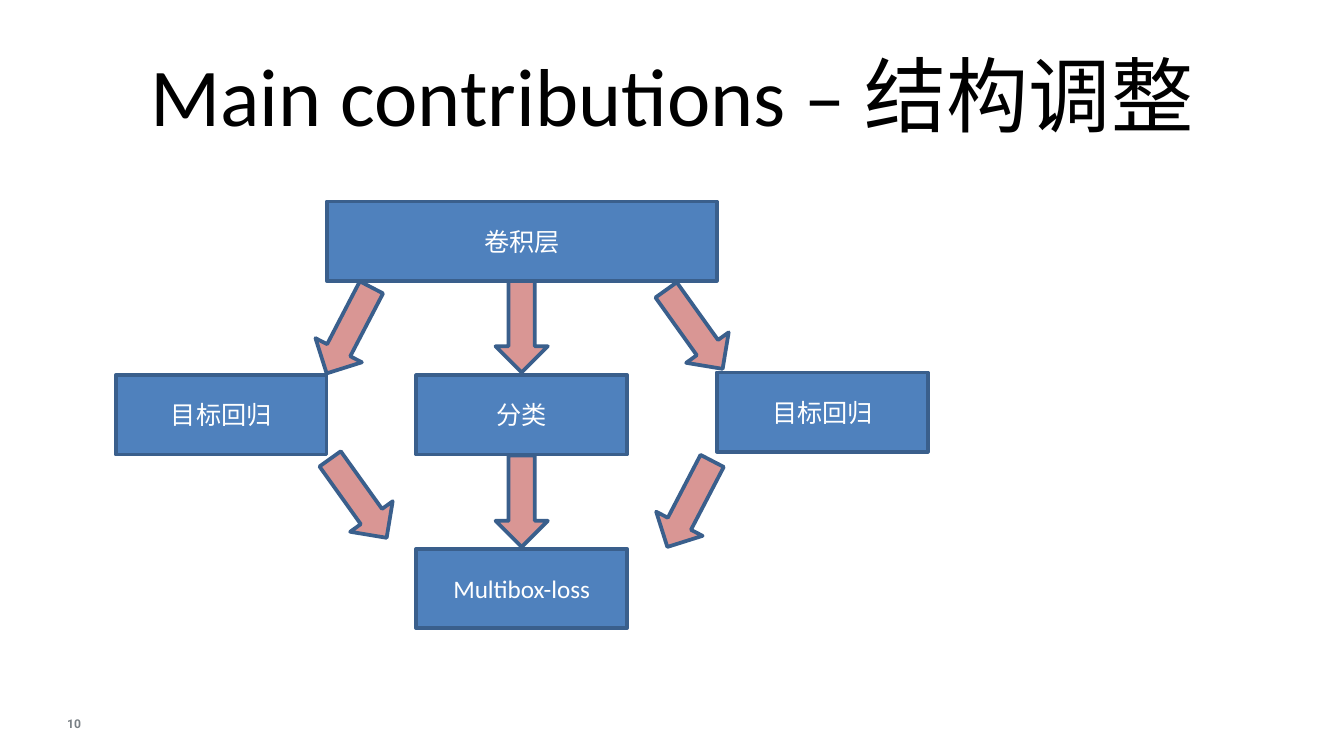
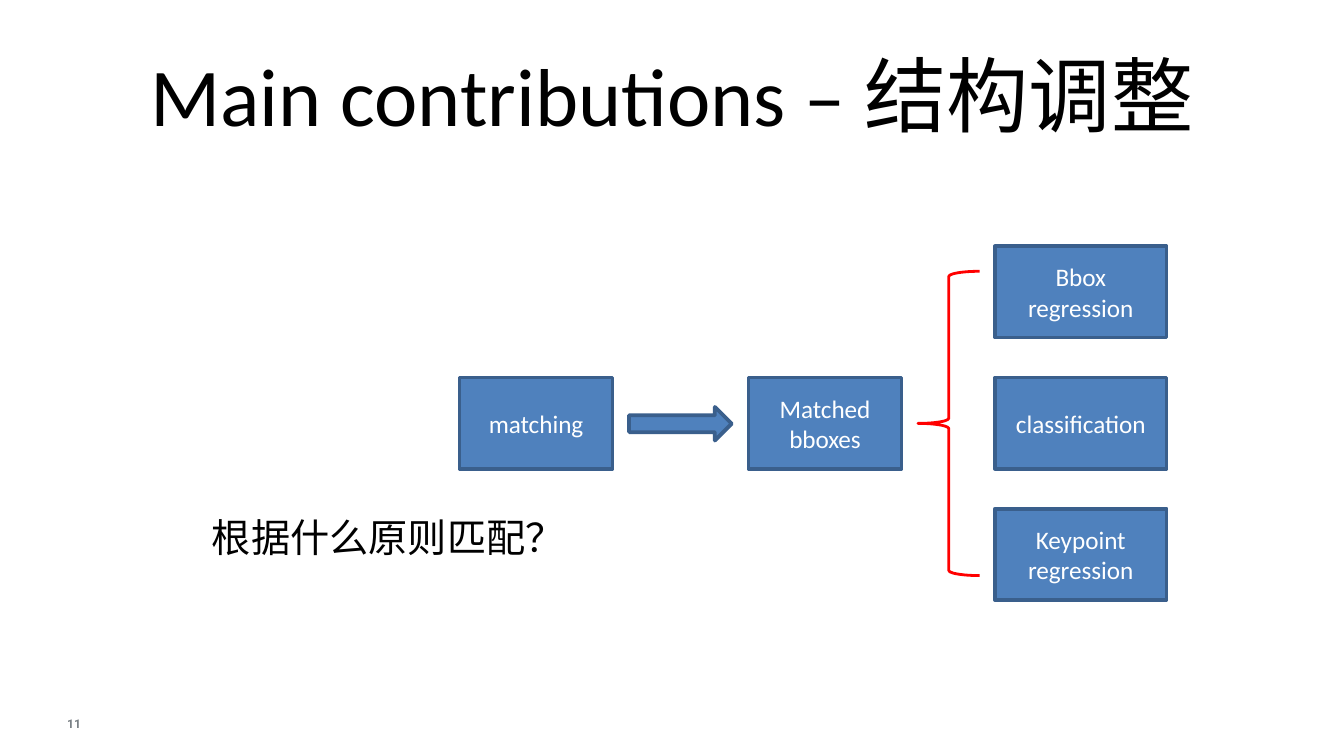
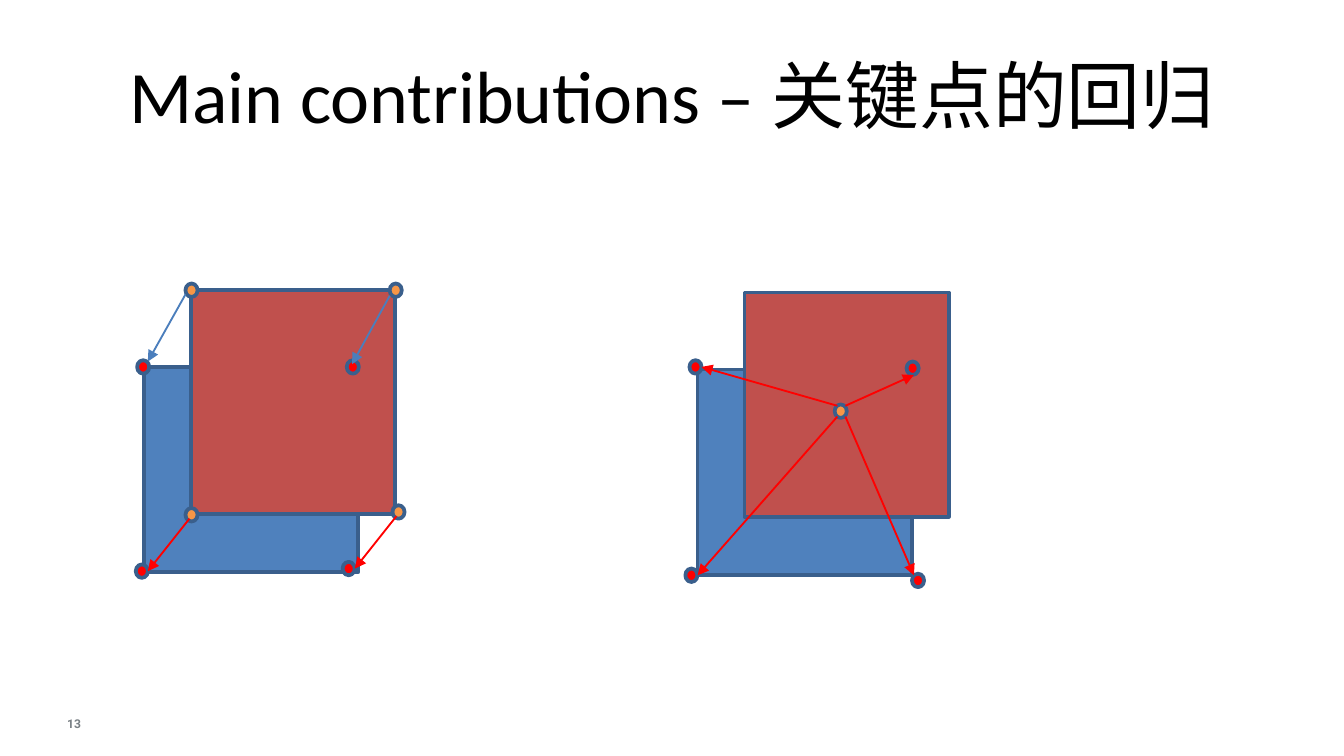
from pptx import Presentation
from pptx.dml.color import RGBColor
from pptx.enum.shapes import MSO_CONNECTOR, MSO_SHAPE
from pptx.enum.text import MSO_ANCHOR, PP_ALIGN
from pptx.oxml.ns import qn
from pptx.util import Pt
from lxml.etree import SubElement

BLUE, EDGE, PINK, BRICK = "4F81BD", "3A5F8C", "D99694", "C0504D"
RED, GOLD, STEEL = "FF0000", "F79646", "4B7EBC"
BLACK, WHITE, GREY = "000000", "FFFFFF", "787F84"


def color(code):
    return RGBColor.from_string(code)


def write(shape, text, size, code, font="Calibri", align=PP_ALIGN.CENTER, bold=False):
    """Fill a shape with one styled paragraph, centred in height."""
    frame = shape.text_frame
    frame.text = text
    frame.vertical_anchor = MSO_ANCHOR.MIDDLE
    para = frame.paragraphs[0]
    para.alignment = align
    for run in para.runs:
        run.font.name = font
        run.font.size = Pt(size)
        run.font.bold = bold
        run.font.color.rgb = color(code)


def label(slide, x, y, w, h, text, size, code, inset=(7.2, 3.6), wrap=True, **style):
    """Add a text box; inset holds the side and the top margin."""
    box = slide.shapes.add_textbox(Pt(x), Pt(y), Pt(w), Pt(h))
    frame = box.text_frame
    frame.word_wrap = wrap
    frame.margin_left = frame.margin_right = Pt(inset[0])
    frame.margin_top = frame.margin_bottom = Pt(inset[1])
    write(box, text, size, code, **style)


def shape(slide, kind, x, y, w, h, fill=BLUE, line=EDGE, width=2, turn=0):
    item = slide.shapes.add_shape(kind, Pt(x), Pt(y), Pt(w), Pt(h))
    item.shadow.inherit = False
    item.rotation = turn
    if fill:
        item.fill.solid()
        item.fill.fore_color.rgb = color(fill)
    else:
        item.fill.background()
    item.line.color.rgb = color(line)
    item.line.width = Pt(width)
    return item


def box(slide, x, y, w, h, text):
    write(shape(slide, MSO_SHAPE.RECTANGLE, x, y, w, h), text, 13.5, WHITE)


def dot(slide, x, y, fill):
    """Add a keypoint centred on x, y."""
    w, h = 6.5, 7.2
    shape(slide, MSO_SHAPE.OVAL, x - w / 2, y - h / 2, w, h, fill)


def arrow(slide, start, end, code):
    line = slide.shapes.add_connector(
        MSO_CONNECTOR.STRAIGHT, *[Pt(n) for n in start + end])
    line.line.color.rgb = color(code)
    line.line.width = Pt(1)
    SubElement(line.line._get_or_add_ln(), qn("a:tailEnd"), type="triangle")
    SubElement(line._element.spPr, qn("a:effectLst"))


def squares(slide, x, y):
    """Add the blue target at x, y with the red anchor box over it."""
    shape(slide, MSO_SHAPE.RECTANGLE, x, y, 115, 110)
    shape(slide, MSO_SHAPE.RECTANGLE, x + 25.2, y - 41.3, 109.4, 120.2, BRICK)


def page(deck, title, number, size=44):
    """Add a blank slide with its title and page number."""
    slide = deck.slides.add_slide(deck.slide_layouts[6])
    label(slide, 36, 383, 21, 9.4, number, 6.5, GREY, inset=(0, 0),
          font="Roboto", align=PP_ALIGN.LEFT, bold=True)
    label(slide, 36, 16.6, 648, 67.7, title, size, BLACK)
    return slide


def layers(deck):
    slide = page(deck, "Main contributions – 结构调整", "10")
    left, step, w, h = 62, 161, 113, 42.5
    box(slide, 175, 108, 209, h, "卷积层")
    heads = [("目标回归", 201), ("分类", 201), ("目标回归", 199.5)]
    for i, (text, y) in enumerate(heads):
        box(slide, left + i * step, y, w, h, text)
    box(slide, left + step, 294, w, h, "Multibox-loss")
    flows = [(265.5, 150.5, 49, 0), (173, 151, 52, 27.5), (358, 150.5, 52, 324.4),
             (265.5, 244, 49, 0), (355.5, 244, 52, 27.5), (178, 241, 52, 324.4)]
    for x, y, long, turn in flows:
        shape(slide, MSO_SHAPE.DOWN_ARROW, x, y, 28, long, PINK, turn=turn)


def matching(deck):
    slide = page(deck, "Main contributions – 结构调整", "11")
    mid, h = 202.3, 48.8
    box(slide, 246.2, mid, 82, h, "matching")
    shape(slide, MSO_SHAPE.RIGHT_ARROW, 337, 218, 55, 18)
    box(slide, 401, mid, 82, h, "Matched bboxes")
    for i, text in enumerate(["Bbox regression", "classification", "Keypoint regression"]):
        box(slide, 533, mid + (i - 1) * 70.3, 92, h, text)
    shape(slide, MSO_SHAPE.LEFT_BRACE, 491.8, 145.4, 33, 163, None, RED, 1.5)
    label(slide, 107.3, 272.2, 201.6, 31, "根据什么原则匹配？", 21, BLACK,
          inset=(5, 2.9), wrap=False)


def points(deck):
    slide = page(deck, "Main contributions – 关键点的回归", "13", 39.6)
    squares(slide, 77, 196.6)
    corners = [((102.6, 155.5), (76.7, 196.6), (99.4, 157.7), (79.2, 193.7), STEEL),
               ((212, 155.5), (189, 196.6), (208.8, 158.4), (188.6, 195.1), STEEL),
               ((102.6, 275.8), (76, 306), (101.5, 277.9), (79.2, 306), RED),
               ((213.5, 274.3), (186.8, 304.6), (212.4, 276.5), (190.1, 304.6), RED)]
    for anchor, target, start, end, code in corners:
        dot(slide, *anchor, GOLD)
        dot(slide, *target, RED)
        arrow(slide, start, end, code)

    squares(slide, 373.7, 198)
    dot(slide, 450.4, 220.3, GOLD)
    rays = [((372.6, 196.6), (448.6, 217.4), (375.8, 196.6)),
            ((370.4, 308.2), (448.6, 223.2), (373.7, 308.2)),
            ((491.8, 311), (452.9, 223.2), (489.6, 308.2)),
            ((488.9, 197.3), (452.9, 217.4), (489.6, 200.9))]
    for target, start, end in rays:
        dot(slide, *target, RED)
        arrow(slide, start, end, RED)


def main():
    deck = Presentation()
    deck.slide_width, deck.slide_height = Pt(720), Pt(405)
    layers(deck)
    matching(deck)
    points(deck)
    deck.save("out.pptx")


if __name__ == "__main__":
    main()
